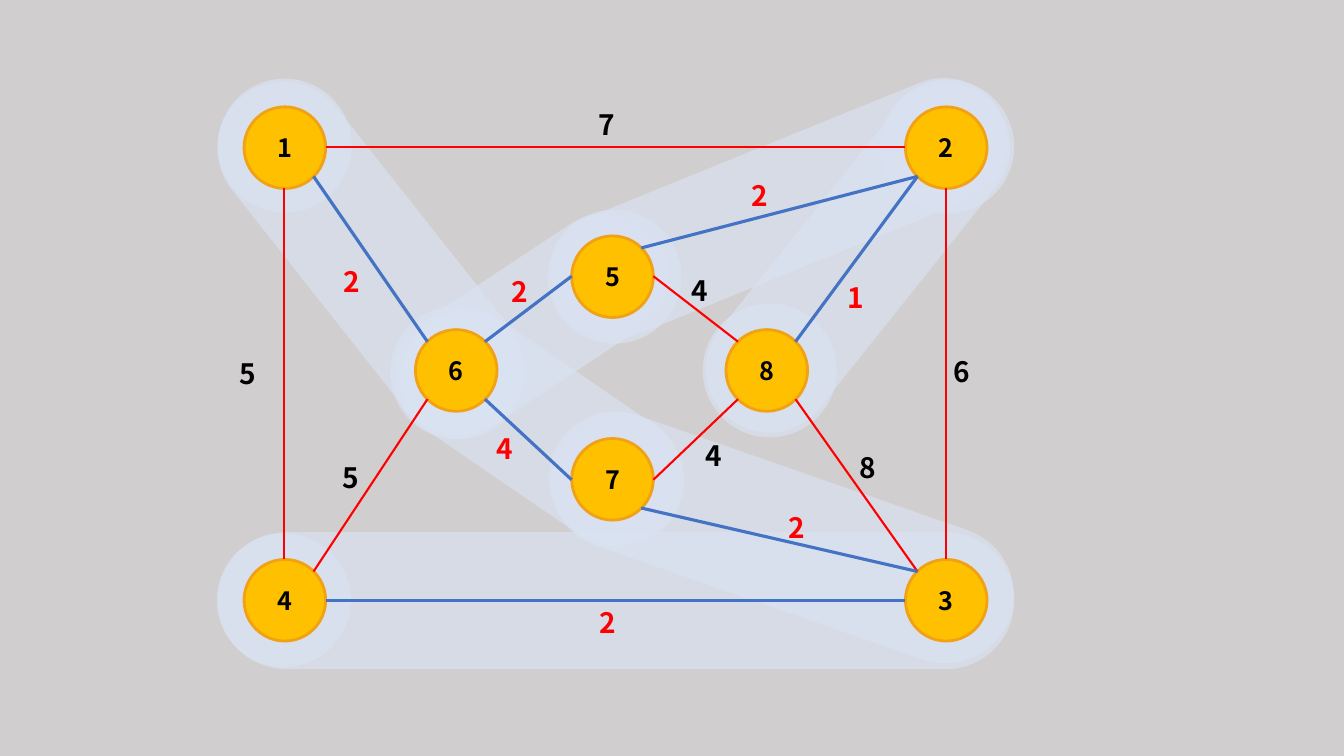
from dataclasses import dataclass
from enum import Enum
from math import cos, radians, sin

from lxml.etree import SubElement
from pptx import Presentation
from pptx.dml.color import RGBColor
from pptx.enum.shapes import MSO_CONNECTOR, MSO_SHAPE
from pptx.enum.text import MSO_ANCHOR, MSO_AUTO_SIZE, PP_ALIGN
from pptx.oxml.ns import qn
from pptx.shapes.autoshape import Shape
from pptx.slide import Slide
from pptx.text.text import TextFrame
from pptx.util import Emu, Pt

EMU_PER_PX = 9144
SLIDE_WIDTH, SLIDE_HEIGHT = 1333, 750
NODE_SIZE, HALO_SIZE = 81, 133
LABEL_WIDTH, LABEL_HEIGHT = 36, 44


@dataclass(frozen=True)
class Theme:
    font: str = "Noto Sans CJK KR"
    background: str = "D0CECE"
    halo: str = "DAE3F3"
    halo_alpha: int = 63000
    node: str = "FFC000"
    node_border: str = "F1A116"
    text: str = "000000"
    tree_text: str = "FF0000"
    edge: str = "FF0000"
    tree_edge: str = "4472C4"
    node_size: int = 18
    label_size: int = 20
    node_border_width: float = 2
    edge_width: float = 1.5
    tree_edge_width: float = 2.25


class Side(Enum):
    EAST = 0
    SOUTHEAST = 45
    SOUTH = 90
    SOUTHWEST = 135
    WEST = 180
    NORTHWEST = 225
    NORTH = 270
    NORTHEAST = 315


@dataclass(frozen=True)
class Node:
    left: int
    top: int
    halo: tuple[int, int] | None = None

    def site(self, side: Side) -> tuple[int, int]:
        radius = NODE_SIZE / 2
        angle = radians(side.value)
        return (round(self.left + radius * (1 + cos(angle))),
                round(self.top + radius * (1 + sin(angle))))


@dataclass(frozen=True)
class Band:
    left: int
    top: int
    width: int
    height: int
    rotation: float


@dataclass(frozen=True)
class Edge:
    start: int
    start_side: Side
    end: int
    end_side: Side
    weight: int
    label_left: int
    label_top: int
    in_tree: bool = False


THEME = Theme()

BANDS = [
    Band(543, 201, 136, 790, 90),
    Band(708, 295, 136, 478, 109.2),
    Band(472, 269, 132, 313, 124.4),
    Band(302, 51, 132, 411, 141.7),
    Band(464, 172, 125, 302, 56.5),
    Band(709, -33, 126, 480, 67.9),
    Band(788, 52, 126, 408, 38.6),
]

NODES = {
    1: Node(242, 106, (216, 78)),
    2: Node(898, 106, (873, 79)),
    3: Node(898, 555),
    4: Node(242, 555, (215, 529)),
    5: Node(567, 234, (543, 208)),
    6: Node(412, 327, (387, 303)),
    7: Node(567, 435, (544, 408)),
    8: Node(720, 327, (697, 301)),
}

EDGES = [
    Edge(1, Side.EAST, 2, Side.WEST, 7, 584, 102),
    Edge(1, Side.SOUTHEAST, 6, Side.NORTHWEST, 2, 331, 257, in_tree=True),
    Edge(4, Side.NORTHEAST, 6, Side.SOUTHWEST, 5, 330, 452),
    Edge(4, Side.NORTH, 1, Side.SOUTH, 5, 228, 349),
    Edge(4, Side.EAST, 3, Side.WEST, 2, 585, 596, in_tree=True),
    Edge(6, Side.SOUTHEAST, 7, Side.WEST, 4, 483, 423, in_tree=True),
    Edge(6, Side.NORTHEAST, 5, Side.WEST, 2, 498, 267, in_tree=True),
    Edge(5, Side.EAST, 8, Side.NORTHWEST, 4, 676, 266),
    Edge(8, Side.SOUTHEAST, 3, Side.NORTHWEST, 8, 843, 442),
    Edge(8, Side.NORTHEAST, 2, Side.SOUTHWEST, 1, 831, 273, in_tree=True),
    Edge(3, Side.NORTH, 2, Side.SOUTH, 6, 936, 347),
    Edge(7, Side.EAST, 8, Side.SOUTHWEST, 4, 690, 430),
    Edge(5, Side.NORTHEAST, 2, Side.SOUTHWEST, 2, 736, 172, in_tree=True),
    Edge(7, Side.SOUTHEAST, 3, Side.NORTHWEST, 2, 772, 502, in_tree=True),
]


def px(length: int) -> Emu:
    return Emu(length * EMU_PER_PX)


def write_text(frame: TextFrame, text: str, *, size: int, color: str,
               align: PP_ALIGN = PP_ALIGN.LEFT) -> None:
    paragraph = frame.paragraphs[0]
    paragraph.alignment = align
    run = paragraph.add_run()
    run.text = text
    run.font.name = THEME.font
    run.font.size = Pt(size)
    run.font.bold = True
    run.font.color.rgb = RGBColor.from_string(color)


def add_filled_shape(slide: Slide, kind: MSO_SHAPE, left: int, top: int,
                     width: int, height: int, color: str) -> Shape:
    shape = slide.shapes.add_shape(kind, px(left), px(top), px(width), px(height))
    shape.shadow.inherit = False
    shape.fill.solid()
    shape.fill.fore_color.rgb = RGBColor.from_string(color)
    shape.line.fill.background()
    return shape


def make_translucent(shape: Shape) -> None:
    color = shape._element.spPr.find(f"{qn('a:solidFill')}/{qn('a:srgbClr')}")
    SubElement(color, qn("a:alpha"), val=str(THEME.halo_alpha))


def add_band(slide: Slide, band: Band) -> None:
    shape = add_filled_shape(slide, MSO_SHAPE.ROUNDED_RECTANGLE, band.left, band.top,
                             band.width, band.height, THEME.halo)
    shape.adjustments[0] = 0.5
    shape.rotation = band.rotation
    make_translucent(shape)


def add_halo(slide: Slide, left: int, top: int) -> None:
    make_translucent(add_filled_shape(slide, MSO_SHAPE.OVAL, left, top,
                                      HALO_SIZE, HALO_SIZE, THEME.halo))


def add_node(slide: Slide, number: int, node: Node) -> None:
    shape = add_filled_shape(slide, MSO_SHAPE.OVAL, node.left, node.top,
                             NODE_SIZE, NODE_SIZE, THEME.node)
    shape.line.color.rgb = RGBColor.from_string(THEME.node_border)
    shape.line.width = Pt(THEME.node_border_width)
    shape.text_frame.vertical_anchor = MSO_ANCHOR.MIDDLE
    write_text(shape.text_frame, str(number), size=THEME.node_size,
               color=THEME.text, align=PP_ALIGN.CENTER)


def add_edge(slide: Slide, edge: Edge) -> None:
    start = NODES[edge.start].site(edge.start_side)
    end = NODES[edge.end].site(edge.end_side)
    connector = slide.shapes.add_connector(MSO_CONNECTOR.STRAIGHT, *map(px, start + end))
    color = THEME.tree_edge if edge.in_tree else THEME.edge
    connector.line.color.rgb = RGBColor.from_string(color)
    connector.line.width = Pt(THEME.tree_edge_width if edge.in_tree else THEME.edge_width)
    SubElement(connector._element.spPr, qn("a:effectLst"))


def add_weight(slide: Slide, edge: Edge) -> None:
    label = slide.shapes.add_textbox(px(edge.label_left), px(edge.label_top),
                                     px(LABEL_WIDTH), px(LABEL_HEIGHT))
    label.text_frame.word_wrap = False
    label.text_frame.auto_size = MSO_AUTO_SIZE.SHAPE_TO_FIT_TEXT
    write_text(label.text_frame, str(edge.weight), size=THEME.label_size,
               color=THEME.tree_text if edge.in_tree else THEME.text)


def main() -> None:
    presentation = Presentation()
    presentation.slide_width = px(SLIDE_WIDTH)
    presentation.slide_height = px(SLIDE_HEIGHT)
    slide = presentation.slides.add_slide(presentation.slide_layouts.get_by_name("Blank"))
    slide.background.fill.solid()
    slide.background.fill.fore_color.rgb = RGBColor.from_string(THEME.background)
    for band in BANDS:
        add_band(slide, band)
    for node in NODES.values():
        if node.halo:
            add_halo(slide, *node.halo)
    for number, node in NODES.items():
        add_node(slide, number, node)
    for edge in EDGES:
        add_edge(slide, edge)
    for edge in EDGES:
        add_weight(slide, edge)
    presentation.save("out.pptx")


if __name__ == "__main__":
    main()
